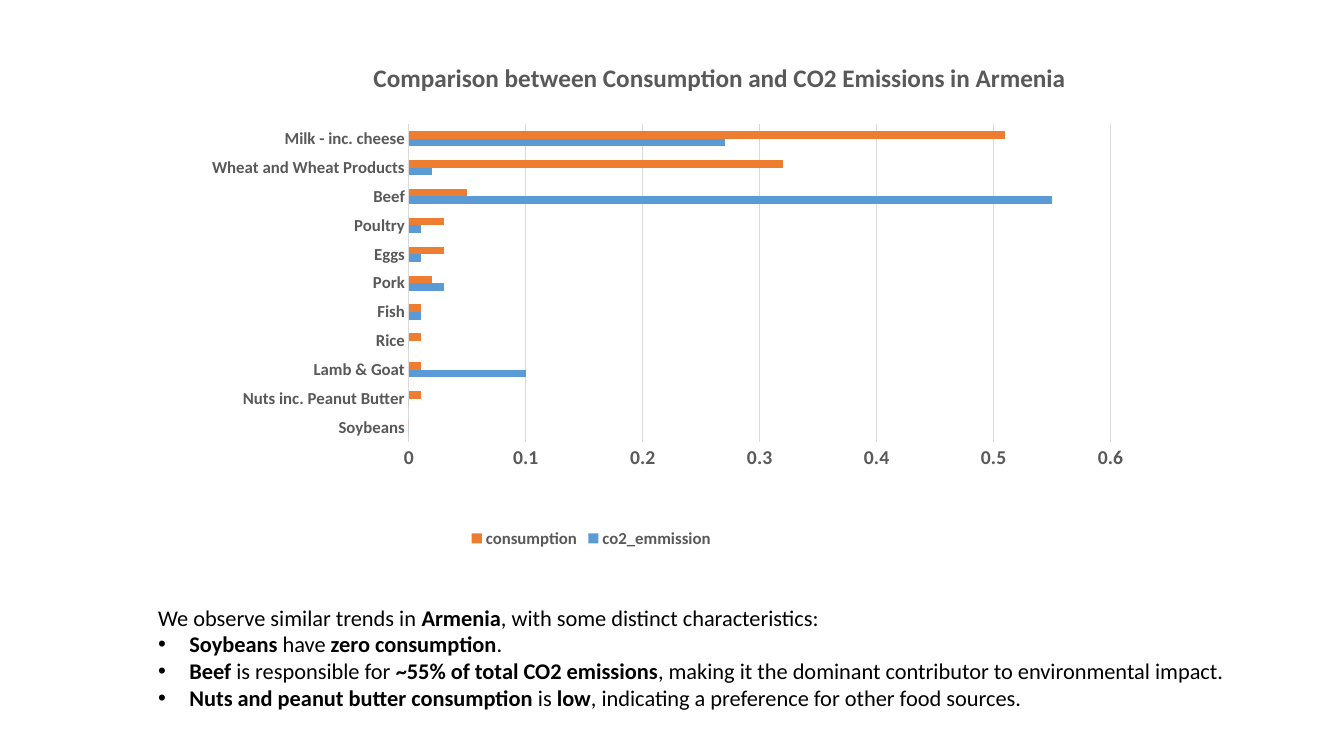
from lxml import etree
from pptx import Presentation
from pptx.chart.data import CategoryChartData
from pptx.dml.color import RGBColor
from pptx.enum.chart import XL_CHART_TYPE, XL_LEGEND_POSITION, XL_TICK_MARK
from pptx.oxml.ns import qn
from pptx.util import Inches, Pt

FONT = "Calibri"
GREY = "595959"
LIGHT = "D9D9D9"
TITLE = "Comparison between Consumption and CO2 Emissions in Armenia"
FOODS = [
    ("Soybeans", 0, 0),
    ("Nuts inc. Peanut Butter", 0, 0.01),
    ("Lamb & Goat", 0.1, 0.01),
    ("Rice", 0, 0.01),
    ("Fish", 0.01, 0.01),
    ("Pork", 0.03, 0.02),
    ("Eggs", 0.01, 0.03),
    ("Poultry", 0.01, 0.03),
    ("Beef", 0.55, 0.05),
    ("Wheat and Wheat Products", 0.02, 0.32),
    ("Milk - inc. cheese", 0.27, 0.51),
]
INTRO = ["We observe similar trends in ", "*Armenia", ", with some distinct characteristics:"]
FINDINGS = [
    ["*Soybeans", " have ", "*zero consumption", "."],
    ["*Beef", " is responsible for ", "*~55% of total CO2 emissions",
     ", making it the dominant contributor to environmental impact."],
    ["*Nuts and peanut butter consumption", " is ", "*low",
     ", indicating a preference for other food sources."],
]


def rgb(color):
    return RGBColor.from_string(color)


def style_font(font, size, color, bold=True):
    font.name = FONT
    font.size = Pt(size)
    font.bold = bold
    font.color.rgb = rgb(color)


def style_line(line, color):
    line.color.rgb = rgb(color)
    line.width = Pt(0.75)


def place(element, index, **fractions):
    for old in element.findall(qn("c:layout")):
        element.remove(old)
    layout = etree.Element(qn("c:layout"))
    manual = etree.SubElement(layout, qn("c:manualLayout"))
    settings = {"xMode": "edge", "yMode": "edge", **fractions}
    if "w" in fractions:
        settings = {"layoutTarget": "inner", **settings}
    for name, value in settings.items():
        etree.SubElement(manual, qn(f"c:{name}")).set("val", str(value))
    element.insert(index, layout)


def style_axis(axis, size):
    axis.major_tick_mark = axis.minor_tick_mark = XL_TICK_MARK.NONE
    style_font(axis.tick_labels.font, size, GREY)


def add_food_chart(s):
    names, emissions, consumption = zip(*FOODS)
    data = CategoryChartData()
    data.categories = names
    data.add_series("co2_emmission", emissions)
    data.add_series("consumption", consumption)
    chart = s.shapes.add_chart(XL_CHART_TYPE.BAR_CLUSTERED, Inches(0.35), Inches(0.35),
                               Inches(11.03), Inches(5.13), data).chart
    style_font(chart.font, 10, "000000", False)

    tf = chart.chart_title.text_frame
    tf.text = TITLE
    style_font(tf.paragraphs[0].runs[0].font, 18, GREY)
    chart.chart_title.include_in_layout = False
    place(chart.chart_title._element, 1, x=0.3, y=0.04)
    place(chart._chartSpace.chart.plotArea, 0, x=0.336, y=0.172, w=0.631, h=0.615)

    plot = chart.plots[0]
    plot.gap_width = 182
    plot.overlap = 0
    plot.vary_by_categories = False
    for series, color in zip(plot.series, ("5B9BD5", "ED7D31")):
        series.format.fill.solid()
        series.format.fill.fore_color.rgb = rgb(color)

    style_axis(chart.category_axis, 12)
    style_line(chart.category_axis.format.line, LIGHT)
    values = chart.value_axis
    style_axis(values, 14)
    values.minimum_scale, values.maximum_scale, values.major_unit = 0, 0.6, 0.1
    values.tick_labels.number_format = "General"
    values.tick_labels.number_format_is_linked = False
    values.format.line.fill.background()
    style_line(values.major_gridlines.format.line, LIGHT)

    chart.has_legend = True
    chart.legend.position = XL_LEGEND_POSITION.BOTTOM
    chart.legend.include_in_layout = False
    style_font(chart.legend.font, 12, GREY)


def add_runs(p, parts):
    for part in parts:
        r = p.add_run()
        r.text = part.lstrip("*")
        style_font(r.font, 16, "000000", part.startswith("*"))


def add_bullet(p):
    pPr = p._p.get_or_add_pPr()
    pPr.set("marL", str(Inches(0.31)))
    pPr.set("indent", str(-Inches(0.31)))
    etree.SubElement(pPr, qn("a:buFont")).set("typeface", "Arial")
    etree.SubElement(pPr, qn("a:buChar")).set("char", "•")


def add_findings(s):
    tf = s.shapes.add_textbox(Inches(1.47), Inches(5.94), Inches(10.86), Inches(1.21)).text_frame
    tf.word_wrap = True
    add_runs(tf.paragraphs[0], INTRO)
    for finding in FINDINGS:
        p = tf.add_paragraph()
        add_bullet(p)
        add_runs(p, finding)


def main():
    prs = Presentation()
    prs.slide_width, prs.slide_height = Inches(13.33), Inches(7.5)
    s = prs.slides.add_slide(prs.slide_layouts[6])
    add_food_chart(s)
    add_findings(s)
    prs.save("out.pptx")


if __name__ == "__main__":
    main()
